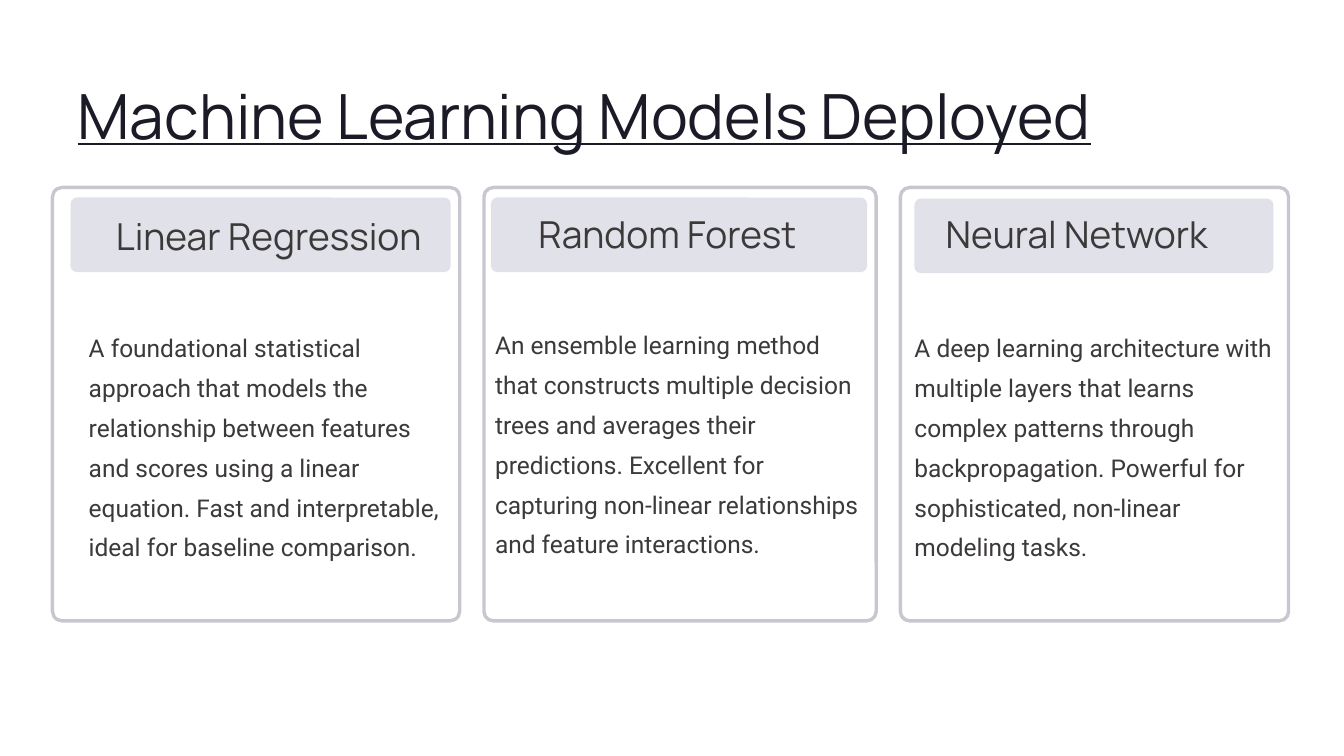
from pptx import Presentation
from pptx.dml.color import RGBColor
from pptx.enum import shapes, text
from pptx.util import Inches, Pt

TITLE = "Machine Learning Models Deployed"
COLORS = {
    "title": "1B1B27",
    "text": "3C3939",
    "card": "FFFFFF",
    "border": "C7C7D0",
    "band": "E1E1EA",
}
CARD_TOP, CARD_HEIGHT = 1.86, 4.3
BAND_HEIGHT = 0.74
HEADING_HEIGHT = 0.47
BODY_HEIGHT = 2.38

# card and band: (left, width); heading and body: (left, top, width)
MODELS = [
    {
        "name": "Linear Regression",
        "description": "A foundational statistical approach that models the "
        "relationship between features and scores using a linear equation. "
        "Fast and interpretable, ideal for baseline comparison.",
        "card": (0.52, 4.04), "band": (0.7, 3.77), "band_top": 1.96,
        "heading": (1.15, 2.1, 3.1), "body": (0.88, 3.2, 3.59),
    },
    {
        "name": "Random Forest",
        "description": "An ensemble learning method that constructs multiple "
        "decision trees and averages their predictions. Excellent for "
        "capturing non-linear relationships and feature interactions.",
        "card": (4.8, 3.89), "band": (4.87, 3.73), "band_top": 1.96,
        "heading": (5.34, 2.08, 2.95), "body": (4.91, 3.17, 3.69),
    },
    {
        "name": "Neural Network",
        "description": "A deep learning architecture with multiple layers that "
        "learns complex patterns through backpropagation. Powerful for "
        "sophisticated, non-linear modeling tasks.",
        "card": (8.93, 3.85), "band": (9.07, 3.56), "band_top": 1.97,
        "heading": (9.38, 2.08, 2.98), "body": (9.07, 3.2, 3.56),
    },
]


def color(name):
    return RGBColor.from_string(COLORS[name])


def write(box, words, *, font, size, spacing, ink="text", underline=None):
    frame = box.text_frame
    frame.word_wrap = True
    frame.auto_size = text.MSO_AUTO_SIZE.NONE
    frame.vertical_anchor = text.MSO_ANCHOR.TOP
    frame.margin_left = frame.margin_right = 0
    frame.margin_top = frame.margin_bottom = 0
    para = frame.paragraphs[0]
    para.alignment = text.PP_ALIGN.LEFT
    para.line_spacing = Pt(spacing)
    span = para.add_run()
    span.text = words
    span.font.name = font
    span.font.size = Pt(size)
    span.font.underline = underline
    span.font.color.rgb = color(ink)


def add_panel(page, left, top, width, height, *, radius, fill, border=None):
    """Add a rounded rectangle, outlined only when a border colour is given."""
    panel = page.shapes.add_shape(
        shapes.MSO_SHAPE.ROUNDED_RECTANGLE,
        Inches(left), Inches(top), Inches(width), Inches(height))
    panel.adjustments[0] = radius
    panel.shadow.inherit = False
    panel.fill.solid()
    panel.fill.fore_color.rgb = color(fill)
    if border:
        panel.line.color.rgb = color(border)
        panel.line.width = Pt(2.4)
    else:
        panel.line.fill.background()


def add_text(page, place, height, words, **style):
    left, top, width = place
    box = page.shapes.add_textbox(
        Inches(left), Inches(top), Inches(width), Inches(height))
    write(box, words, **style)


def add_model(page, model):
    left, width = model["card"]
    add_panel(page, left, CARD_TOP, width, CARD_HEIGHT,
              radius=0.024, fill="card", border="border")
    left, width = model["band"]
    add_panel(page, left, model["band_top"], width, BAND_HEIGHT,
              radius=0.086, fill="band")
    add_text(page, model["heading"], HEADING_HEIGHT, model["name"],
             font="Manrope", size=26.5, spacing=33)
    add_text(page, model["body"], BODY_HEIGHT, model["description"],
             font="Roboto", size=17.5, spacing=28.5)


def main():
    deck = Presentation()
    deck.slide_width, deck.slide_height = Inches(13.33), Inches(7.5)
    page = deck.slides.add_slide(deck.slide_layouts.get_by_name("Title Only"))

    title = page.shapes.title
    title.left, title.top = Inches(0.77), Inches(0.74)
    title.width, title.height = Inches(10.35), Inches(0.78)
    write(title, TITLE, font="Manrope", size=44.5, spacing=55.5,
          ink="title", underline=True)

    for model in MODELS:
        add_model(page, model)
    deck.save("out.pptx")


if __name__ == "__main__":
    main()
